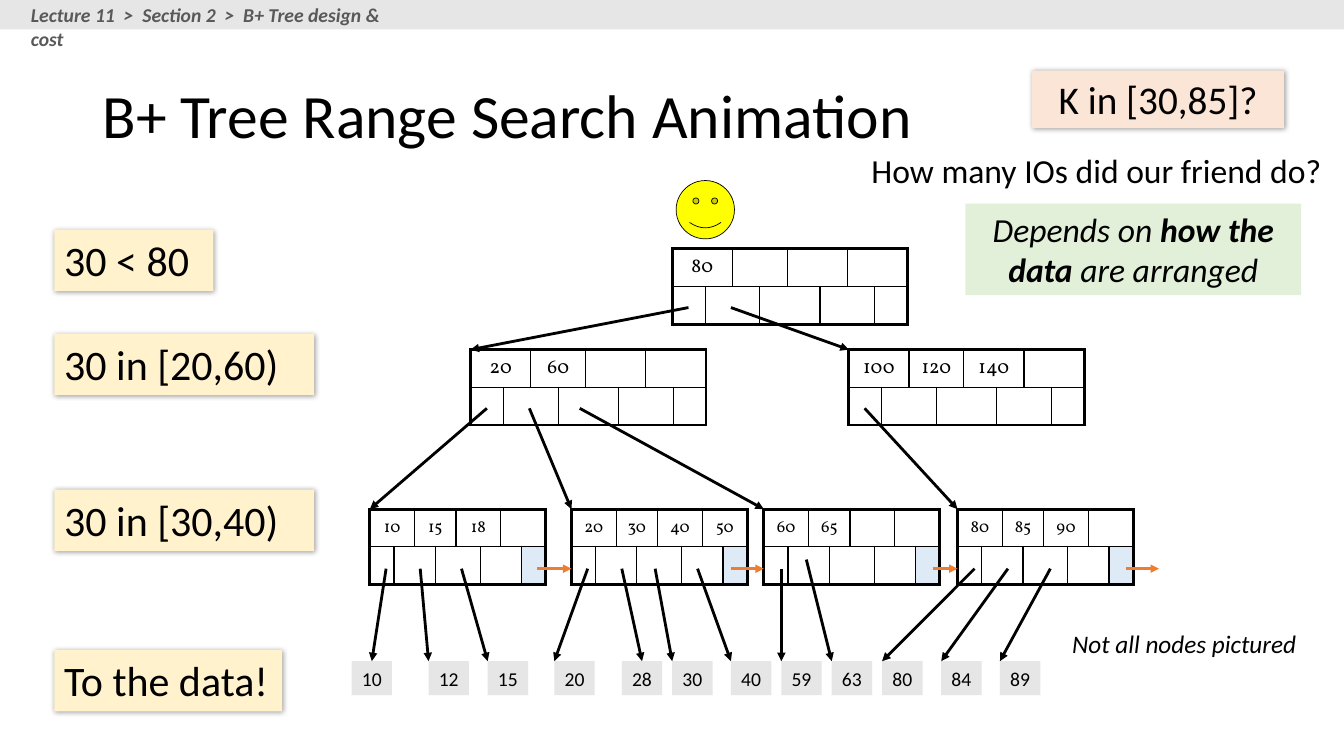
from lxml import etree
from pptx import Presentation
from pptx.dml.color import RGBColor
from pptx.enum.shapes import MSO_CONNECTOR, MSO_SHAPE
from pptx.enum.text import MSO_ANCHOR, PP_ALIGN
from pptx.oxml.ns import qn
from pptx.util import Cm, Pt

RECTANGLE, SMILEY = MSO_SHAPE.RECTANGLE, MSO_SHAPE.SMILEY_FACE
STRAIGHT = MSO_CONNECTOR.STRAIGHT
LEFT, CENTER = PP_ALIGN.LEFT, PP_ALIGN.CENTER
TOP, MIDDLE = MSO_ANCHOR.TOP, MSO_ANCHOR.MIDDLE

BLACK = RGBColor(0x00, 0x00, 0x00)
DARK_GRAY = RGBColor(0x59, 0x59, 0x59)
LIGHT_GRAY = RGBColor(0xE7, 0xE6, 0xE6)
ORANGE = RGBColor(0xED, 0x7D, 0x31)
PEACH = RGBColor(0xFB, 0xE5, 0xD6)
CREAM = RGBColor(0xFF, 0xF2, 0xCC)
GREEN = RGBColor(0xE2, 0xF0, 0xD9)
BLUE = RGBColor(0xDE, 0xEB, 0xF7)
YELLOW = RGBColor(0xFF, 0xFF, 0x00)

KEY_GROUPS = [(0, 2), (2, 2), (4, 2), (6, 2)]
POINTER_GROUPS = [(0, 1), (1, 2), (3, 2), (5, 2), (7, 1)]
WIDE_COLUMNS = (0, 4, 7)
ROW_HEIGHT = 0.95
ROOT_TOP, INNER_TOP, LEAF_TOP = 6.27, 8.81, 12.83
ROOT_POINTER, INNER_POINTER, LEAF_POINTER = 7.75, 10.29, 14.33
DATA_TOP = 16.66

INNER_NODES = [(11.86, ["20", "60"]), (21.39, ["100", "120", "140"])]
LEAVES = [
    (9.32, ["10", "15", "18"]),
    (14.4, ["20", "30", "40", "50"]),
    (19.25, ["60", "65"]),
    (24.13, ["80", "85", "90"]),
]
ROOT_LINKS = [(17.35, 11.86), (18.42, 21.39)]
INNER_LINKS = [(12.27, 9.32), (13.34, 14.4), (14.61, 19.25), (21.79, 24.13)]
LEAF_LINKS = [(13.54, 14.4), (18.42, 19.25), (23.5, 24.13), (28.37, 29.21)]
RECORDS = [
    ("10", 8.86, 9.73, LEAF_POINTER),
    ("12", 10.8, 10.59, LEAF_POINTER),
    ("15", 12.29, 11.63, LEAF_POINTER),
    ("20", 13.97, 14.81, LEAF_POINTER),
    ("28", 15.67, 15.67, LEAF_POINTER),
    ("30", 16.94, 16.51, LEAF_POINTER),
    ("40", 18.42, 17.58, LEAF_POINTER),
    ("59", 19.69, 19.69, LEAF_POINTER),
    ("63", 20.96, 20.32, 14.1),
    ("80", 22.23, 24.56, LEAF_POINTER),
    ("84", 23.72, 25.4, LEAF_POINTER),
    ("89", 25.2, 26.47, LEAF_POINTER),
]
CENTERED_RECORDS = ("10", "28")
STEPS = [
    ("30 < 80", 5.79, 4.01),
    ("30 in [20,60)", 8.41, 6.55),
    ("30 in [30,40)", 12.34, 6.55),
    ("To the data!", 16.38, 5.74),
]


def write(frame, text, size, font="Calibri", color=BLACK, bold=False,
          italic=False, align=LEFT, anchor=TOP, wrap=True, emphasis=""):
    """Write text into a frame, with one optional phrase in bold."""
    frame.word_wrap = wrap
    frame.vertical_anchor = anchor
    paragraph = frame.paragraphs[0]
    paragraph.alignment = align
    before, phrase, after = text.partition(emphasis) if emphasis else (text, "", "")
    for part, heavy in ((before, bold), (phrase, True), (after, bold)):
        if part:
            run = paragraph.add_run()
            run.text = part
            run.font.name = font
            run.font.size = Pt(size)
            run.font.bold = heavy
            run.font.italic = italic
            run.font.color.rgb = color


def add_label(slide, box, text, size, **style):
    """Add a text box."""
    label = slide.shapes.add_textbox(*map(Cm, box))
    write(label.text_frame, text, size, **style)


def add_panel(slide, box, fill, kind=RECTANGLE, outline=None, shadow=False):
    """Add a filled preset shape."""
    panel = slide.shapes.add_shape(kind, *map(Cm, box))
    panel.fill.solid()
    panel.fill.fore_color.rgb = fill
    if outline is None:
        panel.line.fill.background()
    else:
        panel.line.color.rgb = outline
        panel.line.width = Pt(0.5)
    panel.shadow.inherit = False
    if shadow:
        effects = panel.element.spPr.find(qn("a:effectLst"))
        outer = etree.SubElement(effects, qn("a:outerShdw"), blurRad="50800",
                                 dist="12700", dir="2700000", algn="tl", rotWithShape="0")
        tint = etree.SubElement(outer, qn("a:srgbClr"), val=str(BLACK))
        etree.SubElement(tint, qn("a:alpha"), val="40000")
    return panel


def add_arrow(slide, start, end, color=BLACK):
    """Add a straight arrow between two points."""
    arrow = slide.shapes.add_connector(STRAIGHT, *map(Cm, (*start, *end)))
    arrow.line.color.rgb = color
    arrow.line.width = Pt(2)
    etree.SubElement(arrow.line._get_or_add_ln(), qn("a:tailEnd"), type="triangle")
    etree.SubElement(arrow._element.spPr, qn("a:effectLst"))
    return arrow


def set_borders(cell, heavy_sides):
    """Draw the four cell borders, heavier on the given sides."""
    properties = cell._tc.get_or_add_tcPr()
    for side in "LRTB":
        width = Pt(2.25) if side in heavy_sides else Pt(1)
        border = etree.SubElement(properties, qn(f"a:ln{side}"), w=str(width))
        paint = etree.SubElement(border, qn("a:solidFill"))
        etree.SubElement(paint, qn("a:srgbClr"), val=str(BLACK))


def add_node(slide, left, top, keys, wide=0.83, narrow=0.69, size=14, leaf=False):
    """Add a tree node with a row of keys above a row of pointers."""
    widths = [wide if column in WIDE_COLUMNS else narrow for column in range(8)]
    box = (left, top, sum(widths), 2 * ROW_HEIGHT)
    table = slide.shapes.add_table(2, 8, *map(Cm, box)).table
    table.first_row = table.horz_banding = False
    for column, width in zip(table.columns, widths):
        column.width = Cm(width)
    for row, groups in enumerate((KEY_GROUPS, POINTER_GROUPS)):
        for slot, (first, span) in enumerate(groups):
            heavy = "TB"[row] + "L" * (first == 0) + "R" * (first + span == 8)
            for column in range(first, first + span):
                cell = table.cell(row, column)
                cell.margin_left = cell.margin_right = 0
                cell.margin_top = cell.margin_bottom = 0
                set_borders(cell, heavy)
                cell.fill.background()
            cell = table.cell(row, first)
            if span > 1:
                cell.merge(table.cell(row, first + span - 1))
            if row == 0 and slot < len(keys):
                cell.vertical_anchor = MIDDLE
                write(cell.text_frame, keys[slot], size, font="Vollkorn",
                      align=CENTER, anchor=MIDDLE)
    if leaf:
        next_pointer = table.cell(1, 7)
        next_pointer.fill.solid()
        next_pointer.fill.fore_color.rgb = BLUE


def add_record(slide, key, left, pointer_x, pointer_y):
    """Add a data record and the leaf pointer that leads to it."""
    record = add_panel(slide, (left, DATA_TOP, 1.02, 0.86), LIGHT_GRAY)
    write(record.text_frame, key, 14, align=CENTER, anchor=MIDDLE, wrap=False)
    pointer = add_arrow(slide, (pointer_x, pointer_y), (left, DATA_TOP))
    if key in CENTERED_RECORDS:
        pointer.end_connect(record, 0)


def main():
    """Build the range search slide."""
    deck = Presentation()
    deck.slide_width, deck.slide_height = Cm(33.87), Cm(19.05)
    slide = deck.slides.add_slide(deck.slide_layouts[6])

    add_label(slide, (2.34, 1.02, 29.21, 3.68), "B+ Tree Range Search Animation", 44,
              anchor=MIDDLE)
    add_node(slide, 16.94, ROOT_TOP, ["80"])
    for left, keys in INNER_NODES:
        add_node(slide, left, INNER_TOP, keys)
    for left, keys in LEAVES:
        add_node(slide, left, LEAF_TOP, keys, wide=0.61, narrow=0.52, size=12, leaf=True)
    for start, child in ROOT_LINKS:
        add_arrow(slide, (start, ROOT_POINTER), (child, INNER_TOP))
    for start, child in INNER_LINKS:
        add_arrow(slide, (start, INNER_POINTER), (child, LEAF_TOP))
    for start, neighbour in LEAF_LINKS:
        add_arrow(slide, (start, LEAF_POINTER), (neighbour, LEAF_POINTER), ORANGE)
    for record in RECORDS:
        add_record(slide, *record)

    query = add_panel(slide, (26.01, 1.78, 6.35, 1.45), PEACH, shadow=True)
    write(query.text_frame, "K in [30,85]?", 28, align=CENTER)
    for text, top, width in STEPS:
        step = add_panel(slide, (1.37, top, width, 1.55), CREAM, shadow=True)
        write(step.text_frame, text, 30)
    add_label(slide, (26.77, 15.72, 6.22, 1.02), "Not all nodes pictured", 18,
              italic=True, wrap=False)
    add_panel(slide, (17.04, 4.55, 1.47, 1.47), YELLOW, SMILEY, BLACK)

    add_panel(slide, (0, 0, 33.87, 0.74), LIGHT_GRAY)
    add_label(slide, (0.53, -0.05, 10.08, 0.86),
              "Lecture 11  >  Section 2  >  B+ Tree design & cost", 14,
              color=DARK_GRAY, bold=True, italic=True)
    add_label(slide, (21.39, 3.66, 12.48, 1.27), "How many IOs did our friend do?", 24,
              align=CENTER)
    answer = add_panel(slide, (24.33, 5.13, 8.46, 2.31), GREEN)
    write(answer.text_frame, "Depends on how the data are arranged", 24, italic=True,
          align=CENTER, emphasis="how the data")
    deck.save("out.pptx")


if __name__ == "__main__":
    main()
